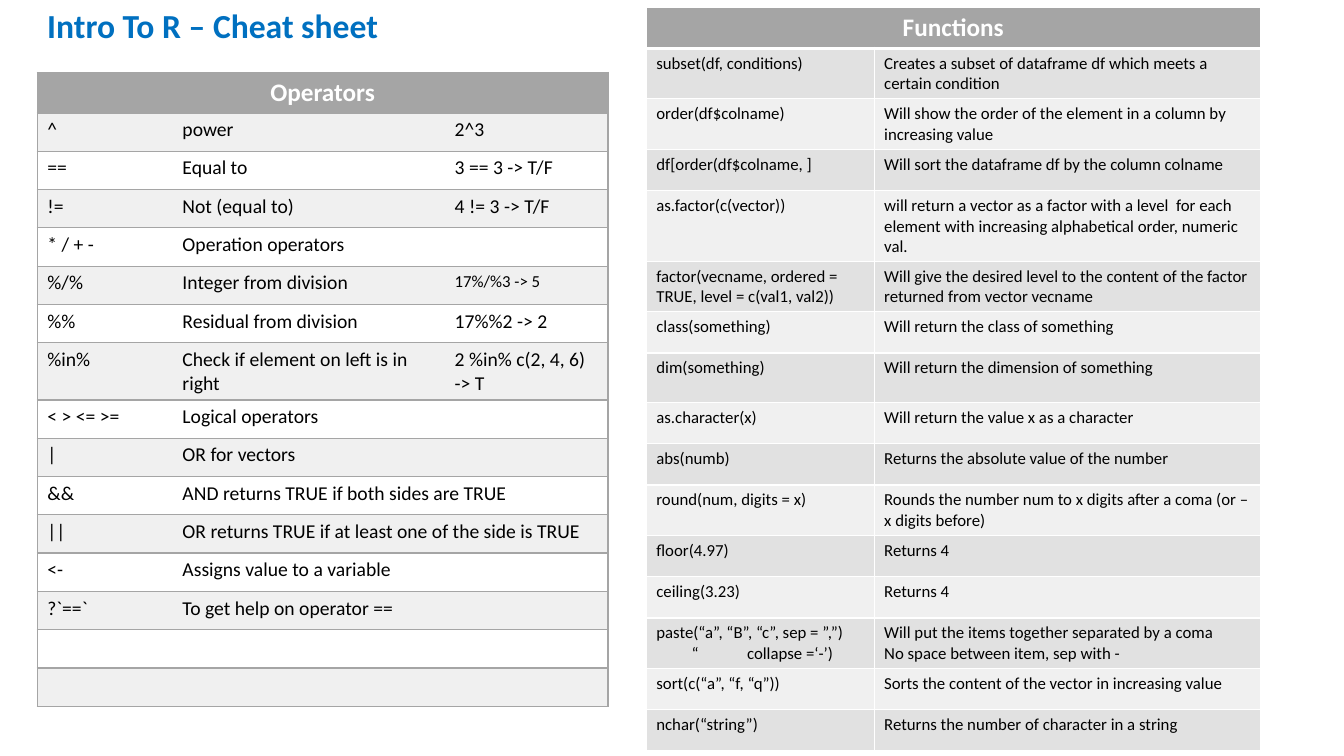
from dataclasses import dataclass

from lxml import etree
from pptx import Presentation
from pptx.dml.color import RGBColor
from pptx.enum.text import MSO_AUTO_SIZE, PP_ALIGN
from pptx.oxml.ns import qn
from pptx.util import Inches, Pt

CENTER = PP_ALIGN.CENTER
GROW = MSO_AUTO_SIZE.SHAPE_TO_FIT_TEXT

TITLE = "Intro To R – Cheat sheet"

# Rows with fewer entries than columns let the last entry span the rest.
OPERATORS = [
    ("Operators",),
    ("^", "power", "2^3"),
    ("==", "Equal to", "3 == 3 -> T/F"),
    ("!=", "Not (equal to)", "4 != 3 -> T/F"),
    ("* / + -", "Operation operators"),
    ("%/%", "Integer from division", "17%/%3 -> 5"),
    ("%%", "Residual from division", "17%%2 -> 2"),
    ("%in%", "Check if element on left is in right", "2 %in% c(2, 4, 6) -> T"),
    ("< > <= >=", "Logical operators"),
    ("|", "OR for vectors"),
    ("&&", "AND returns TRUE if both sides are TRUE"),
    ("||", "OR returns TRUE if at least one of the side is TRUE"),
    ("<-", "Assigns value to a variable"),
    ("?`==`", "To get help on operator =="),
    ("", ""),
    ("", ""),
]
SMALL_EXAMPLE = (5, 2)

FUNCTIONS = [
    ("Functions",),
    ("subset(df, conditions)",
     "Creates a subset of dataframe df which meets a certain condition"),
    ("order(df$colname)",
     "Will show the order of the element in a column by increasing value"),
    ("df[order(df$colname, ]", "Will sort the dataframe df by the column colname"),
    ("as.factor(c(vector))",
     "will return a vector as a factor with a level  for each element "
     "with increasing alphabetical order, numeric val."),
    ("factor(vecname, ordered = TRUE, level = c(val1, val2))",
     "Will give the desired level to the content of the factor "
     "returned from vector vecname"),
    ("class(something)", "Will return the class of something"),
    ("dim(something)", "Will return the dimension of something"),
    ("as.character(x)", "Will return the value x as a character"),
    ("abs(numb)", "Returns the absolute value of the number"),
    ("round(num, digits = x)",
     "Rounds the number num to x digits after a coma (or –x digits before)"),
    ("floor(4.97)", "Returns 4"),
    ("ceiling(3.23)", "Returns 4"),
    ("paste(“a”, “B”, “c”, sep = ”,”)\n\t“\tcollapse =‘-’)",
     "Will put the items together separated by a coma\n"
     "No space between item, sep with -"),
    ("sort(c(“a”, “f, “q”))", "Sorts the content of the vector in increasing value"),
    ("nchar(“string”)", "Returns the number of character in a string"),
]
TAB_STOPS = (0.35, 0.9)


@dataclass(frozen=True)
class Theme:
    """Colours, font and type sizes of the slide."""
    font: str = "Calibri"
    blue: str = "0070C0"
    gray: str = "A5A5A5"
    band: str = "E1E1E1"
    light: str = "F0F0F0"
    white: str = "FFFFFF"
    black: str = "000000"
    title: int = 24
    header: int = 18
    operator: int = 14
    function: int = 12


THEME = Theme()


def style(paragraph, size, color, bold=False):
    """Set the font of a paragraph."""
    font = paragraph.font
    font.name, font.size, font.bold = THEME.font, Pt(size), bold
    font.color.rgb = RGBColor.from_string(color)


def set_tabs(paragraph):
    """Add the tab stops that line up the continued call."""
    properties = paragraph._p.get_or_add_pPr()
    tabs = etree.Element(qn("a:tabLst"))
    for stop in TAB_STOPS:
        etree.SubElement(tabs, qn("a:tab"), pos=str(Inches(stop)), algn="l")
    properties.insert(0, tabs)


def set_borders(cell, color, widths):
    """Draw the cell's sides; a width of 0 means no line."""
    properties = cell._tc.get_or_add_tcPr()
    for side in "LRTB":
        line = etree.SubElement(properties, qn(f"a:ln{side}"), w=str(Pt(widths[side])))
        if widths[side]:
            fill = etree.SubElement(line, qn("a:solidFill"))
            etree.SubElement(fill, qn("a:srgbClr"), val=color)
        else:
            etree.SubElement(line, qn("a:noFill"))


def fill_cell(cell, text, size, color, fill, is_header):
    """Write a cell's text and paint its background."""
    cell.text = text
    for paragraph in cell.text_frame.paragraphs:
        style(paragraph, size, color, is_header)
        if is_header:
            paragraph.alignment = CENTER
        if "\t" in paragraph.text:
            set_tabs(paragraph)
    cell.fill.solid()
    cell.fill.fore_color.rgb = RGBColor.from_string(fill)


def add_sheet(slide, rows, left, top, widths, heights, size, bands, line,
              inner=0, header_line=1, special_sizes=None):
    """Add a banded table with a full-width header row."""
    frame = slide.shapes.add_table(len(rows), len(widths), Inches(left), Inches(top),
                                   Inches(sum(widths)), Inches(sum(heights)))
    table = frame.table
    table.first_row = table.horz_banding = False
    for column, width in zip(table.columns, widths):
        column.width = Inches(width)
    for row, height in zip(table.rows, heights):
        row.height = Inches(height)

    last = len(widths) - 1
    for r, texts in enumerate(rows):
        is_header = r == 0
        end = len(texts) - 1
        if end < last:
            table.cell(r, end).merge(table.cell(r, last))
        for c, text in enumerate(texts):
            cell = table.cell(r, c)
            set_borders(cell, line, {
                "L": 1 if c == 0 else inner,
                "R": 1 if c == end else inner,
                "T": header_line if r == 1 else 1,
                "B": header_line if is_header else 1})
            if is_header:
                fill_cell(cell, text, THEME.header, THEME.white, THEME.gray, True)
            else:
                cell_size = (special_sizes or {}).get((r, c), size)
                fill_cell(cell, text, cell_size, THEME.black, bands[(r - 1) % 2], False)


def add_title(slide):
    """Add the slide title."""
    box = slide.shapes.add_textbox(Inches(0.37), 0, Inches(5.2), Inches(0.5))
    frame = box.text_frame
    frame.word_wrap = True
    frame.auto_size = GROW
    frame.text = TITLE
    style(frame.paragraphs[0], THEME.title, THEME.blue, True)


def main():
    """Build and save the cheat sheet."""
    presentation = Presentation()
    presentation.slide_width, presentation.slide_height = Inches(13.33), Inches(7.5)
    slide = presentation.slides.add_slide(presentation.slide_layouts[6])
    add_title(slide)
    add_sheet(slide, OPERATORS, 0.37, 0.72, (1.34, 2.7, 1.62), [0.37] + [0.38] * 15,
              THEME.operator, (THEME.light, THEME.white), THEME.gray,
              special_sizes={SMALL_EXAMPLE: THEME.function})
    function_heights = [0.49 if name[0] == "dim(something)" else 0.41
                        for name in FUNCTIONS]
    add_sheet(slide, FUNCTIONS, 6.41, 0.07, (2.26, 3.83), function_heights,
              THEME.function, (THEME.band, THEME.light), THEME.white,
              inner=1, header_line=3)
    presentation.save("out.pptx")


main()
